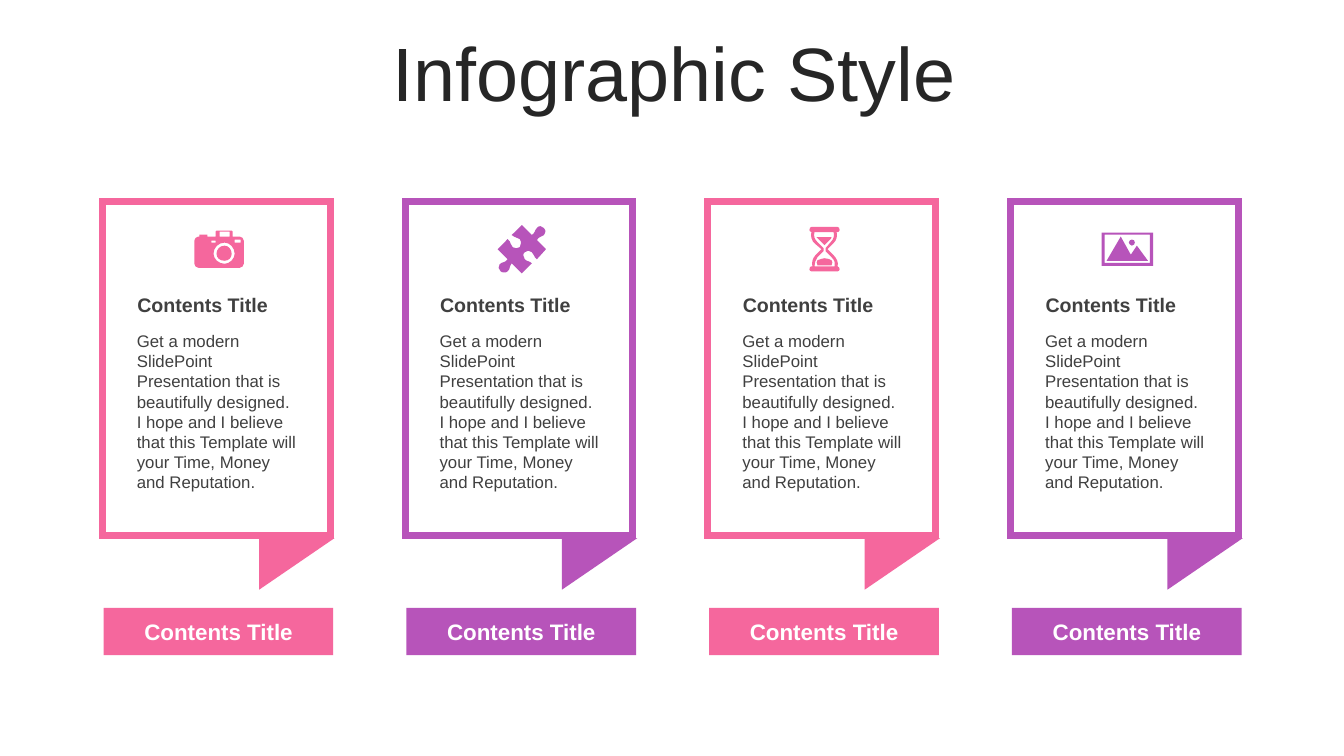
from lxml import etree
from pptx import Presentation
from pptx.dml.color import RGBColor
from pptx.enum import shapes as kinds, text as styles
from pptx.oxml.ns import qn
from pptx.util import Cm, Pt

PINK = RGBColor(0xF5, 0x67, 0x9D)
PURPLE = RGBColor(0xB7, 0x54, 0xBA)
WHITE = RGBColor(0xFF, 0xFF, 0xFF)
GREY = RGBColor(0x40, 0x40, 0x40)
DARK = RGBColor(0x26, 0x26, 0x26)

FIRST_LEFT, PITCH = 2.58, 7.63
ICON_UNIT = Cm(0.0254)
HEADING = "Contents Title"
BODY = ("Get a modern SlidePoint Presentation that is beautifully designed. "
        "I hope and I believe that this Template will your Time, Money and Reputation.")

# Each outline lists its corners; C puts a cubic curve through the next three points.
CAMERA = [
    "30,15 C 34,15 37,19 37,23 C 37,27 34,30 30,30 C 25,30 22,27 22,23 C 22,19 25,15 30,15",
    "30,12 C 24,12 19,17 19,23 C 19,28 24,33 30,33 C 35,33 40,28 40,23 C 40,17 35,12 30,12",
    "17,10 17,12 21,12 21,10",
    "40,9 40,12 46,12 46,9",
    "25,1 25,6 35,6 35,1",
    "22,0 37,0 C 38,0 38,0 38,1 38,6 45,6 C 47,6 49,8 49,10 49,33 C 49,35 47,37 45,37 "
    "4,37 C 2,37 0,35 0,33 0,10 C 0,8 2,6 4,6 5,6 5,4 13,4 13,6 21,6 21,1 C 21,0 22,0 22,0",
]
PUZZLE = [
    "46,3 C 48,4 48,7 46,10 C 44,12 41,11 39,15 48,24 39,34 C 35,31 37,29 34,27 "
    "C 32,25 29,25 27,27 C 25,28 25,32 27,34 C 30,37 31,35 34,38 24,48 14,38 "
    "C 11,42 13,43 10,46 C 8,48 4,47 3,46 C 1,44 0,41 2,39 C 5,36 7,38 10,34 0,24 10,14 "
    "C 14,17 12,20 15,22 C 17,24 20,23 22,22 C 23,20 24,17 22,14 C 19,12 18,13 14,10 "
    "24,0 34,10 C 38,7 36,6 39,3 C 41,0 44,1 46,3",
]
HOURGLASS = [
    "15,31 C 18,31 20,32 22,33 C 23,34 23,36 22,38 8,38 C 7,36 7,34 8,33 C 11,32 13,31 15,31",
    "7,10 22,10 C 22,11 21,12 21,12 15,18 9,12 C 8,12 8,11 7,10",
    "5,5 C 4,9 5,12 8,15 14,21 14,24 8,30 C 6,33 5,36 5,39 25,39 "
    "C 26,36 25,33 22,30 16,24 16,21 22,14 C 24,12 25,8 24,5",
    "2,0 28,0 C 29,0 30,1 30,3 C 30,4 29,5 28,5 27,5 C 28,9 27,13 24,16 18,22 24,28 "
    "C 27,31 29,35 28,39 C 29,39 30,41 30,42 C 30,43 29,44 28,44 2,44 C 1,44 0,43 0,42 "
    "C 0,40 1,39 2,39 3,39 C 2,36 3,31 6,28 12,22 6,17 C 2,14 1,9 2,5 "
    "C 1,5 0,4 0,3 C 0,1 1,0 2,0",
]
LANDSCAPE = [
    "30,7 C 32,7 33,8 33,10 C 33,11 32,13 30,13 C 29,13 27,11 27,10 C 27,8 29,7 30,7",
    "19,4 29,22 35,13 46,28 5,28",
    "3,2 3,30 48,30 48,2",
    "0,0 51,0 51,33 0,33",
]
CARDS = [(PINK, CAMERA), (PURPLE, PUZZLE), (PINK, HOURGLASS), (PURPLE, LANDSCAPE)]


def add_icon(page, outlines):
    """Draw the outlines as one freeform, then join each curve's three lines into a cubic."""
    pen = page.shapes.build_freeform()
    for number, outline in enumerate(outlines):
        corners = [[int(n) * ICON_UNIT for n in token.split(",")]
                   for token in outline.split() if token != "C"]
        if number == 0:
            pen = page.shapes.build_freeform(*corners[0])
        else:
            pen.move_to(*corners[0])
        pen.add_line_segments(corners[1:])
    icon = pen.convert_to_shape()

    drawing = next(icon._element.iter(qn("a:path")))
    steps = iter(list(drawing))
    for outline in outlines:
        tokens = iter(outline.split())
        for token in tokens:
            step = next(steps)
            if token == "C":
                curve = etree.Element(qn("a:cubicBezTo"))
                drawing.replace(step, curve)
                curve.append(step[0])
                for _ in range(2):
                    step = next(steps)
                    curve.append(step[0])
                    drawing.remove(step)
                for _ in range(3):
                    next(tokens)
        next(steps)
    return icon


def write_text(shape, words, size, color, bold=False, align=styles.PP_ALIGN.LEFT,
               anchor=styles.MSO_ANCHOR.TOP, inset=0.25):
    frame = shape.text_frame
    layout = {"word_wrap": True, "auto_size": styles.MSO_AUTO_SIZE.NONE,
              "vertical_anchor": anchor, "margin_left": Cm(inset), "margin_right": Cm(inset)}
    for name, value in layout.items():
        setattr(frame, name, value)
    para = frame.paragraphs[0]
    para.alignment = align
    span = para.add_run()
    span.text = words
    for name, value in {"name": "Arial", "size": Pt(size), "bold": bold}.items():
        setattr(span.font, name, value)
    span.font.color.rgb = color


deck = Presentation()
deck.slide_width, deck.slide_height = Cm(33.87), Cm(19.05)
page = deck.slides.add_slide(deck.slide_layouts[5])
centre = styles.PP_ALIGN.CENTER

title = page.shapes.title
title.left, title.top, title.width, title.height = Cm(0.91), Cm(0.94), Cm(32.16), Cm(2)
write_text(title, "Infographic Style", 54, DARK, align=centre, anchor=styles.MSO_ANCHOR.MIDDLE)
title.text_frame.paragraphs[0].line_spacing = 0.9

for number, (color, outlines) in enumerate(CARDS):
    left = FIRST_LEFT + number * PITCH

    tail = page.shapes.add_shape(kinds.MSO_SHAPE.ISOSCELES_TRIANGLE,
                                 Cm(left + 3.95), Cm(13.56), Cm(1.9), Cm(1.3))
    tail.adjustments[0] = 1
    tail.rotation = 180
    card = page.shapes.add_shape(kinds.MSO_SHAPE.RECTANGLE,
                                 Cm(left), Cm(5.08), Cm(5.74), Cm(8.41))
    banner = page.shapes.add_shape(kinds.MSO_SHAPE.RECTANGLE,
                                   Cm(left + 0.03), Cm(15.32), Cm(5.79), Cm(1.19))
    icon = add_icon(page, outlines)
    icon.left = Cm(left + 2.94) - icon.width // 2
    icon.top = Cm(6.28) - icon.height // 2

    for shape in (tail, card, banner, icon):
        shape.shadow.inherit = False
        shape.fill.solid()
        shape.fill.fore_color.rgb = WHITE if shape is card else color
        shape.line.fill.background()
    card.line.color.rgb = color
    card.line.width = Pt(5)
    corner = etree.SubElement(card.line._get_or_add_ln(), qn("a:miter"))
    corner.set("lim", "800000")

    heading = page.shapes.add_textbox(Cm(left + 0.58), Cm(7.26), Cm(4.55), Cm(0.86))
    write_text(heading, HEADING, 14, GREY, bold=True, inset=0.3)
    body = page.shapes.add_textbox(Cm(left + 0.62), Cm(8.21), Cm(4.55), Cm(4.37))
    write_text(body, BODY, 12, GREY)
    label = page.shapes.add_textbox(Cm(left + 0.43), Cm(15.45), Cm(5), Cm(0.94))
    write_text(label, HEADING, 16, WHITE, bold=True, align=centre, inset=0.3)

deck.save("out.pptx")
